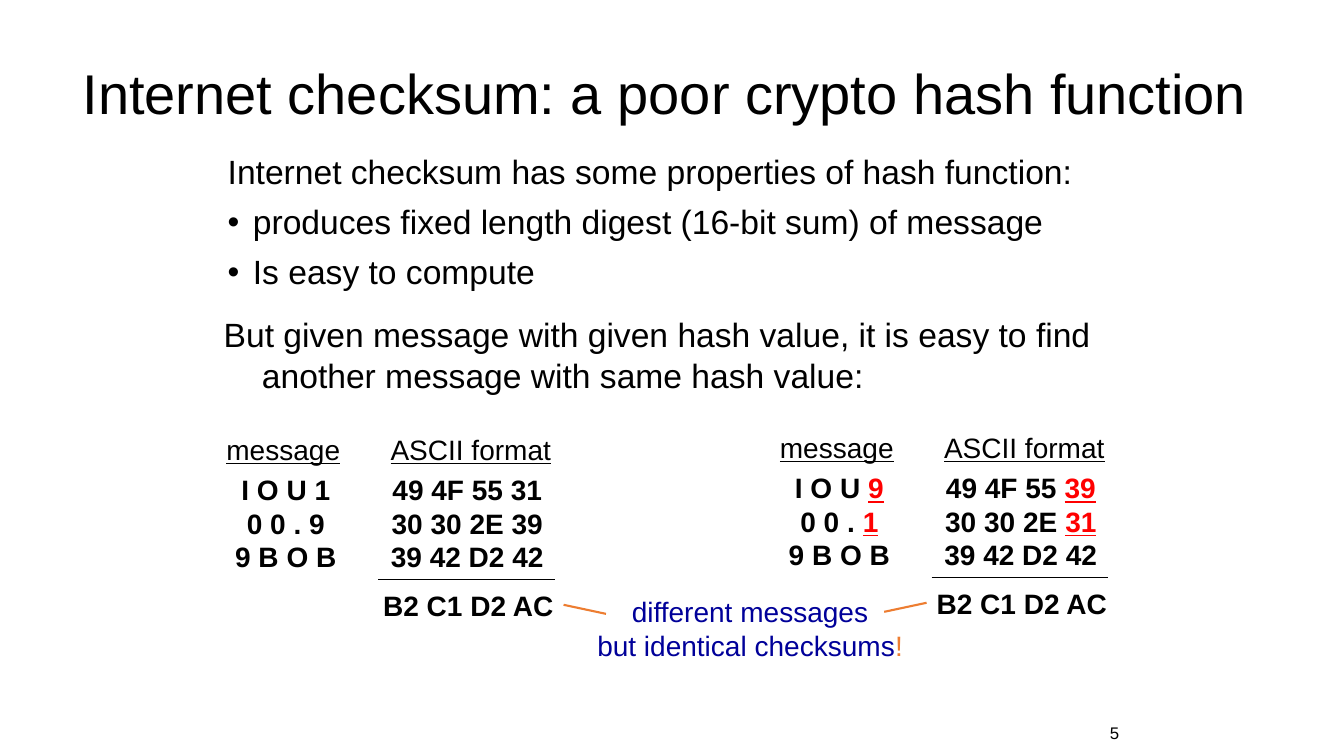
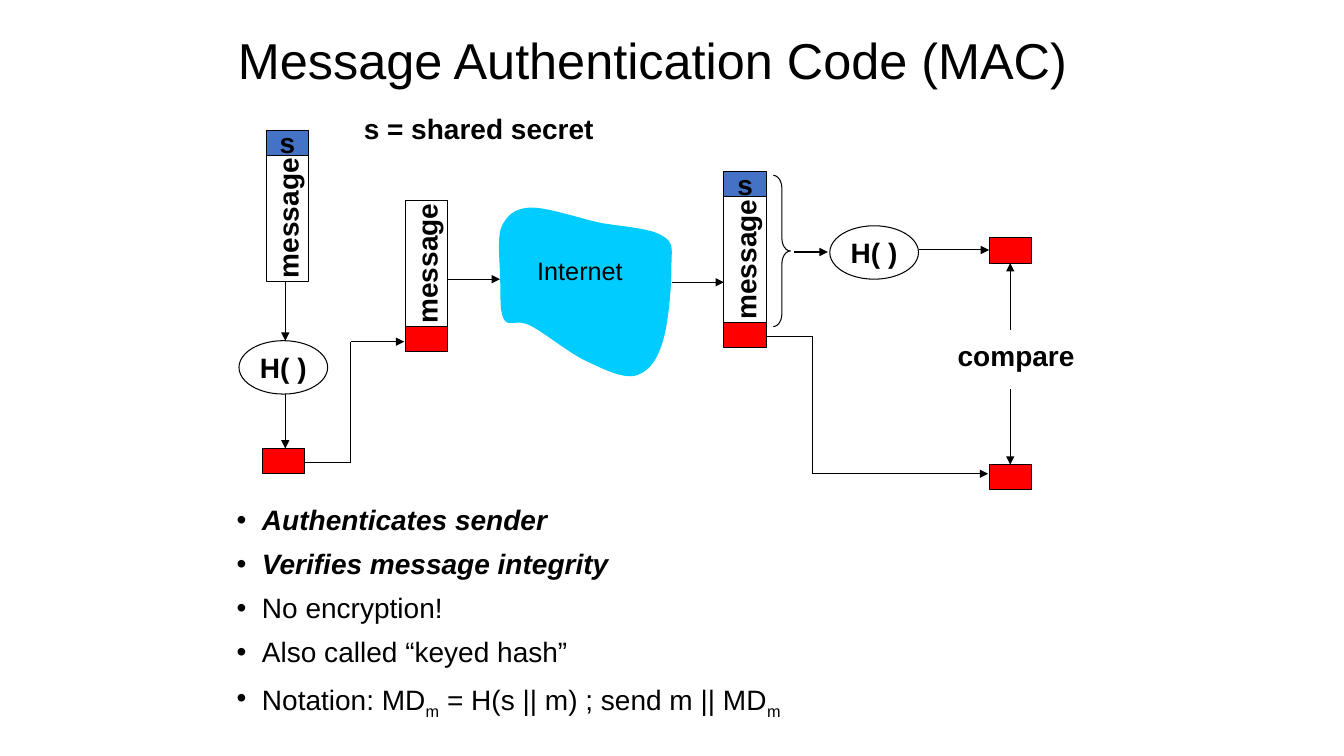
from itertools import pairwise

from lxml import etree
from pptx import Presentation
from pptx import util as u
from pptx.dml import color
from pptx.enum import shapes, text
from pptx.oxml import ns

FONT = "Arial"
COLOURS = {
    "ink": "000000",
    "red": "FF0000",
    "navy": "000099",
    "orange": "ED7D31",
    "secret": "4472C4",
    "cloud": "00CCFF",
}
ALIGN = text.PP_ALIGN
SHAPE = shapes.MSO_SHAPE
BLOCK_W, BLOCK_H, MESSAGE_H = 42, 25, 125


def px(length):
    """Turn px (100 to the inch) into EMU."""
    return u.Emu(round(length * 9144))


def rgb(name):
    return color.RGBColor.from_string(COLOURS[name])


# ---- Text ----
def style(font, size, colour="ink", bold=False, italic=False, underline=False):
    font.name, font.size = FONT, u.Pt(size)
    font.bold, font.italic, font.underline = bold, italic, underline
    font.color.rgb = rgb(colour)


def mark_red(span):
    span.font.color.rgb = rgb("red")
    span.font.underline = True


def mark_orange(span):
    span.font.color.rgb = rgb("orange")


def mark_subscript(span):
    span.font._element.set("baseline", "-25000")


def write(para, words, size, align=ALIGN.LEFT, mark=None, **look):
    """Write one paragraph; parts between ^ signs are given the mark."""
    para.alignment = align
    style(para.font, size, **look)
    for number, part in enumerate(words.split("^")):
        if part:
            span = para.add_run()
            span.text = part
            if number % 2:
                mark(span)


def paragraphs(frame, count):
    return [frame.paragraphs[0]] + [frame.add_paragraph() for _ in range(count - 1)]


def add_label(page, area, lines, size=20, wrap=False, **look):
    box = page.shapes.add_textbox(*map(px, area))
    frame = box.text_frame
    frame.word_wrap = wrap
    for para, words in zip(paragraphs(frame, len(lines)), lines):
        write(para, words, size, **look)
    return frame


def indent(para, left, hang, bullet=False):
    props = para._p.get_or_add_pPr()
    props.set("marL", str(px(left)))
    props.set("indent", str(px(-hang)))
    if bullet:
        etree.SubElement(props, ns.qn("a:buFont"), typeface=FONT)
        etree.SubElement(props, ns.qn("a:buChar"), char="•")


def add_body(page, area, items, size):
    """Items are (words, has bullet, emphasised)."""
    frame = page.shapes.add_textbox(*map(px, area)).text_frame
    frame.word_wrap = True
    for para, (words, bullet, strong) in zip(paragraphs(frame, len(items)), items):
        indent(para, 25, 25, bullet)
        para.line_spacing, para.space_before = 0.9, u.Pt(10)
        write(para, words, size, mark=mark_subscript, bold=strong, italic=strong)


def add_page(deck, title, area, size):
    page = deck.slides.add_slide(deck.slide_layouts[5])
    holder = page.shapes.title
    holder.left, holder.top, holder.width, holder.height = map(px, area)
    frame = holder.text_frame
    frame.auto_size = text.MSO_AUTO_SIZE.NONE
    frame.vertical_anchor = text.MSO_ANCHOR.MIDDLE
    para = frame.paragraphs[0]
    para.line_spacing = 0.9
    write(para, title, size)
    return page


# ---- Shapes and lines ----
def add_outline(page, kind, area, fill=None, words=""):
    shape = page.shapes.add_shape(kind, *map(px, area))
    shape.shadow.inherit = False
    shape.line.color.rgb, shape.line.width = rgb("ink"), u.Pt(0.75)
    if fill:
        shape.fill.solid()
        shape.fill.fore_color.rgb = rgb(fill)
    else:
        shape.fill.background()
    if words:
        frame = shape.text_frame
        frame.word_wrap = False
        frame.vertical_anchor = text.MSO_ANCHOR.MIDDLE
        write(frame.paragraphs[0], words, 20, ALIGN.CENTER, bold=True)
    return shape


def add_route(page, left, top, points, arrow=False, colour="ink", width=0.75):
    """Join points, relative to left and top, with straight lines."""
    for (x1, y1), (x2, y2) in pairwise(points):
        line = page.shapes.add_connector(
            shapes.MSO_CONNECTOR.STRAIGHT,
            px(left + x1), px(top + y1), px(left + x2), px(top + y2))
        line.line.color.rgb, line.line.width = rgb(colour), u.Pt(width)
        etree.SubElement(line._element.spPr, ns.qn("a:effectLst"))
    if arrow:
        etree.SubElement(line.line._get_or_add_ln(), ns.qn("a:tailEnd"), type="triangle")


# ---- Checksum slide ----
def add_checksum(page, left, top, message, codes):
    look = {"align": ALIGN.CENTER, "mark": mark_red}
    add_label(page, (left + 9, top + 40, 121, 111), message, bold=True, **look)
    add_label(page, (left + 163, top + 40, 173, 111), codes, bold=True, **look)
    add_label(page, (left, top, 134, 44), ["message"], underline=True, **look)
    add_label(page, (left + 163, top, 180, 44), ["ASCII format"], underline=True, **look)
    add_route(page, left, top, [(161, 151), (336, 151)])
    add_label(page, (left + 155, top + 155, 191, 44), ["B2 C1 D2 AC"], bold=True, **look)


def checksum_slide(deck):
    page = add_page(deck, "Internet checksum: a poor crypto hash function",
                    (72, 30, 1208, 132), 40)
    add_body(page, (216, 149, 921, 232), [
        ("Internet checksum has some properties of hash function:", False, False),
        ("produces fixed length digest (16-bit sum) of message", True, False),
        ("Is easy to compute", True, False),
    ], 24)
    frame = add_label(page, (212, 307, 921, 107), [
        "But given message with given hash value, it is easy to find "
        "another message with same hash value:"], 24, wrap=True)
    indent(frame.paragraphs[0], 38, 38)
    frame.paragraphs[0].space_before = u.Pt(4)

    # Two messages with one checksum
    add_checksum(page, 214, 424, ["I O U 1", "0 0 . 9", "9 B O B"],
                 ["49 4F 55 31", "30 30 2E 39", "39 42 D2 42"])
    add_checksum(page, 763, 422, ["I O U ^9", "0 0 . ^1", "9 B O B"],
                 ["49 4F 55 ^39", "30 30 2E ^31", "39 42 D2 42"])
    add_label(page, (576, 585, 336, 77),
              ["different messages", "but identical checksums^!"],
              align=ALIGN.CENTER, mark=mark_orange, colour="navy")
    for pointer in ([(601, 609), (559, 600)], [(877, 607), (919, 598)]):
        add_route(page, 0, 0, pointer, colour="orange", width=1.5)
    add_label(page, (1091, 712, 75, 30), ["5"], 12, wrap=True)


# ---- MAC slide ----
def add_digest(page, left, top):
    add_outline(page, SHAPE.RECTANGLE, (left, top, BLOCK_W, BLOCK_H), "red")


def add_hash(page, left, top):
    add_outline(page, SHAPE.OVAL, (left, top, 88, 53), words="H( )")


def add_packet(page, left, top, secret=False, digest=False):
    """Stack an optional secret, the upright message and an optional digest."""
    body_top = top + BLOCK_H * secret
    shift = (MESSAGE_H - BLOCK_W) / 2
    body = add_outline(page, SHAPE.RECTANGLE,
                       (left - shift, body_top + shift, MESSAGE_H, BLOCK_W),
                       words="message")
    body.rotation = 270
    if secret:
        add_outline(page, SHAPE.RECTANGLE, (left, top, BLOCK_W, BLOCK_H), "secret", "s")
    if digest:
        add_digest(page, left, body_top + MESSAGE_H)


def add_sender(page, left, top):
    add_packet(page, left + 27, top, secret=True)
    add_hash(page, left, top + 209)
    add_digest(page, left + 23, top + 316)
    add_packet(page, left + 165, top + 70, digest=True)
    for points in (
        [(46, 150), (46, 209)],
        [(46, 262), (46, 316)],
        [(65, 330), (111, 330), (111, 210), (164, 210)],
        [(207, 148), (259, 148)],
    ):
        add_route(page, left, top, points, arrow=True)


def add_internet(page, left, top):
    start = (32, 1)
    curves = [
        ((16, 2), (9, 10), (4, 21)), ((0, 33), (3, 56), (3, 71)),
        ((4, 86), (2, 104), (7, 112)), ((12, 120), (19, 111), (33, 118)),
        ((47, 125), (71, 145), (88, 153)), ((105, 161), (123, 170), (136, 168)),
        ((148, 165), (157, 156), (163, 138)), ((170, 120), (173, 79), (173, 60)),
        ((173, 42), (176, 36), (164, 29)), ((152, 21), (124, 20), (102, 16)),
        ((80, 11), (48, 0), (32, 1)),
    ]
    # Follow each Bézier curve in short steps
    points, steps = [start], 12
    for curve in curves:
        corners = (points[-1], *curve)
        for step in range(1, steps + 1):
            t = step / steps
            weights = ((1 - t) ** 3, 3 * t * (1 - t) ** 2, 3 * t * t * (1 - t), t ** 3)
            points.append(tuple(sum(w * c[axis] for w, c in zip(weights, corners))
                                for axis in (0, 1)))
    outline = [(px(left + x), px(top + y)) for x, y in points]
    builder = page.shapes.build_freeform(*outline[0], scale=1.0)
    builder.add_line_segments(outline[1:], close=True)
    cloud = builder.convert_to_shape()
    cloud.shadow.inherit = False
    cloud.fill.solid()
    cloud.fill.fore_color.rgb = rgb("cloud")
    cloud.line.fill.background()
    add_label(page, (left + 30, top + 43, 125, 40), ["Internet"], 18, wrap=True)


def add_receiver(page, left, top):
    add_packet(page, left, top, secret=True, digest=True)
    brace = add_outline(page, SHAPE.RIGHT_BRACE, (left + 49, top + 4, 17, 150))
    brace.adjustments[0], brace.adjustments[1] = 0.75, 0.5
    add_hash(page, left + 105, top + 54)
    for digest_top in (66, 291):
        add_digest(page, left + 263, top + digest_top)
    add_label(page, (left + 222, top + 161, 137, 44), ["compare"], bold=True)
    for points in (
        [(-51, 110), (0, 110)],
        [(70, 80), (103, 80)],
        [(193, 78), (263, 78)],
        [(42, 164), (88, 164), (88, 300), (262, 300)],
        [(284, 157), (284, 91)],
        [(284, 216), (284, 291)],
    ):
        add_route(page, left, top, points, arrow=True)


def mac_slide(deck):
    page = add_page(deck, "Message Authentication Code (MAC)", (226, 0, 888, 125), 36)
    add_label(page, (351, 106, 250, 44), ["s = shared secret"], bold=True)
    add_internet(page, 493, 205)
    add_sender(page, 237, 129)
    add_receiver(page, 718, 170)
    add_body(page, (225, 497, 923, 239), [
        ("Authenticates sender", True, True),
        ("Verifies message integrity", True, True),
        ("No encryption!", True, False),
        ("Also called “keyed hash”", True, False),
        ("Notation: MD^m^ = H(s || m) ; send m || MD^m", True, False),
    ], 20)


def main():
    deck = Presentation()
    deck.slide_width, deck.slide_height = px(1333), px(750)
    checksum_slide(deck)
    mac_slide(deck)
    deck.save("out.pptx")


if __name__ == "__main__":
    main()
